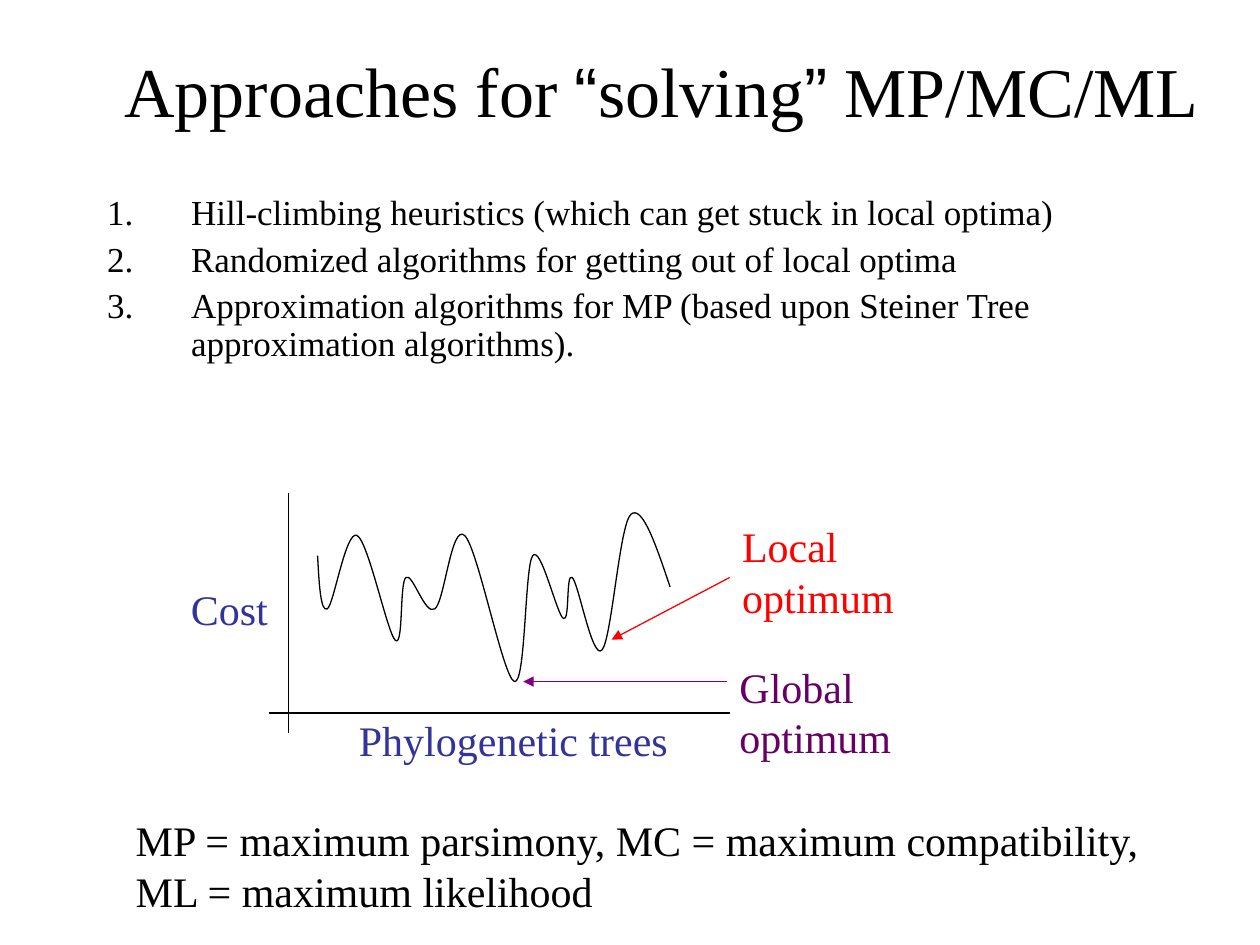
from pptx import Presentation
from pptx.dml.color import RGBColor
from pptx.enum.text import MSO_ANCHOR, MSO_AUTO_SIZE, PP_ALIGN
from pptx.enum.shapes import MSO_CONNECTOR
from pptx.oxml.ns import qn
from pptx.util import Pt
from lxml import etree

MIDDLE = MSO_ANCHOR.MIDDLE
NO_FIT, GROW = MSO_AUTO_SIZE.NONE, MSO_AUTO_SIZE.SHAPE_TO_FIT_TEXT
CENTER, LEFT = PP_ALIGN.CENTER, PP_ALIGN.LEFT
STRAIGHT = MSO_CONNECTOR.STRAIGHT

COLORS = {
    "black": "000000",
    "blue": "333399",
    "plum": "660066",
    "purple": "800080",
    "red": "FF0000",
}
SERIF, SANS = "Times New Roman", "Arial"

TITLE = [("Approaches for ", SERIF), ("“", SANS), ("solving", SERIF),
         ("”", SANS), (" MP/MC/ML", SERIF)]
ITEMS = [
    "Hill-climbing heuristics (which can get stuck in local optima)",
    "Randomized algorithms for getting out of local optima",
    "Approximation algorithms for MP (based upon Steiner Tree "
    "approximation algorithms).",
]
LEGEND = ["MP = maximum parsimony, MC = maximum compatibility,",
          "ML = maximum likelihood"]
COSTS = [(181.5, 317.5), (187, 348), (204, 306), (226, 366), (232, 330),
         (248.5, 348), (265.5, 306), (294, 389.5), (304.5, 317.5),
         (322, 353.5), (327, 330), (344, 371.5), (360.5, 294), (383, 335.5)]


def smooth(knots):
    """Return the Bezier points after the first knot, three per segment."""
    before, after = {}, {}
    for i in range(1, len(knots) - 1):
        (ax, ay), (x, y), (bx, by) = knots[i - 1:i + 2]
        dx, dy = (bx - ax) / 6, (by - ay) / 6
        before[i], after[i] = (x - dx, y - dy), (x + dx, y + dy)
    last = len(knots) - 1

    def mid(p, q):
        return (p[0] + q[0]) / 2, (p[1] + q[1]) / 2

    after[0] = mid(knots[0], before[1])
    before[last] = mid(knots[last], after[last - 1])
    return [p for i in range(last)
            for p in (after[i], before[i + 1], knots[i + 1])]


class Deck:
    """Holds the slide and the style shared by its elements."""

    def __init__(self, slide):
        self.slide = slide
        self.width = Pt(0.75)

    def color(self, name):
        return RGBColor.from_string(COLORS[name])

    def run(self, para, text, size, color="black", face=SERIF):
        run = para.add_run()
        run.text = text
        run.font.size = Pt(size)
        run.font.name = face
        run.font.color.rgb = self.color(color)

    def place(self, shape, *box):
        shape.left, shape.top, shape.width, shape.height = map(Pt, box)

    def title(self, parts, *box):
        shape = self.slide.shapes.title
        self.place(shape, *box)
        frame = shape.text_frame
        frame.auto_size = NO_FIT
        frame.vertical_anchor = MIDDLE
        para = frame.paragraphs[0]
        para.alignment = CENTER
        for text, face in parts:
            self.run(para, text, 40, face=face)

    def steps(self, items, *box):
        shape = self.slide.placeholders[1]
        self.place(shape, *box)
        frame = shape.text_frame
        frame.auto_size = NO_FIT
        for i, item in enumerate(items):
            para = frame.add_paragraph() if i else frame.paragraphs[0]
            props = para._p.get_or_add_pPr()
            props.set("marL", str(Pt(48)))
            props.set("indent", str(Pt(-48)))
            etree.SubElement(props, qn("a:buFont"), typeface=SERIF)
            etree.SubElement(props, qn("a:buAutoNum"), type="arabicPeriod")
            para.line_spacing = 0.9
            para.space_before = Pt(5 if i else 0)
            self.run(para, item, 20)

    def label(self, lines, color, *box, wrap=False):
        frame = self.slide.shapes.add_textbox(*map(Pt, box)).text_frame
        frame.word_wrap = wrap
        frame.auto_size = GROW
        for i, line in enumerate(lines):
            para = frame.add_paragraph() if i else frame.paragraphs[0]
            para.alignment = LEFT
            self.run(para, line, 24, color)

    def line(self, color, *ends, arrow=False):
        link = self.slide.shapes.add_connector(STRAIGHT, *map(Pt, ends))
        link.line.color.rgb = self.color(color)
        link.line.width = self.width
        if arrow:
            etree.SubElement(link.line._get_or_add_ln(), qn("a:tailEnd"),
                             type="triangle")
        etree.SubElement(link._element.spPr, qn("a:effectLst"))

    def curve(self, color, knots):
        points = [(Pt(x), Pt(y)) for x, y in smooth(knots)]
        x, y = knots[0]
        pen = self.slide.shapes.build_freeform(Pt(x), Pt(y))
        pen.add_line_segments(points, close=False)
        shape = pen.convert_to_shape()
        shape.shadow.inherit = False
        shape.fill.background()
        shape.line.color.rgb = self.color(color)
        shape.line.width = self.width
        # Each three straight steps become one cubic segment.
        track = next(shape._element.iter(qn("a:path")))
        steps = track.findall(qn("a:lnTo"))
        for i in range(0, len(steps), 3):
            cubic = etree.SubElement(track, qn("a:cubicBezTo"))
            for step in steps[i:i + 3]:
                cubic.append(step[0])
                track.remove(step)


def main():
    prs = Presentation()
    prs.slide_width, prs.slide_height = Pt(720), Pt(540)
    deck = Deck(prs.slides.add_slide(prs.slide_layouts[1]))

    deck.title(TITLE, 54, 6, 648, 90)
    deck.steps(ITEMS, 54, 108, 612, 144)

    deck.line("black", 165, 282, 165, 419)
    deck.line("black", 153.5, 407.5, 417, 407.5)
    deck.curve("black", COSTS)
    deck.label(["Phylogenetic trees"], "blue", 198, 405, 203, 36, wrap=True)
    deck.label(["Cost"], "blue", 102, 330, 58.5, 36)
    deck.label(["Global optimum"], "plum", 415.5, 374.5, 172, 36)
    deck.label(["Local optimum"], "red", 417, 294, 161, 36)
    deck.line("purple", 415.5, 389.5, 299, 389.5, arrow=True)
    deck.line("red", 417, 330, 349.5, 365.5, arrow=True)

    deck.label(LEGEND, "black", 70.5, 462, 598, 65)
    prs.save("out.pptx")


if __name__ == "__main__":
    main()
